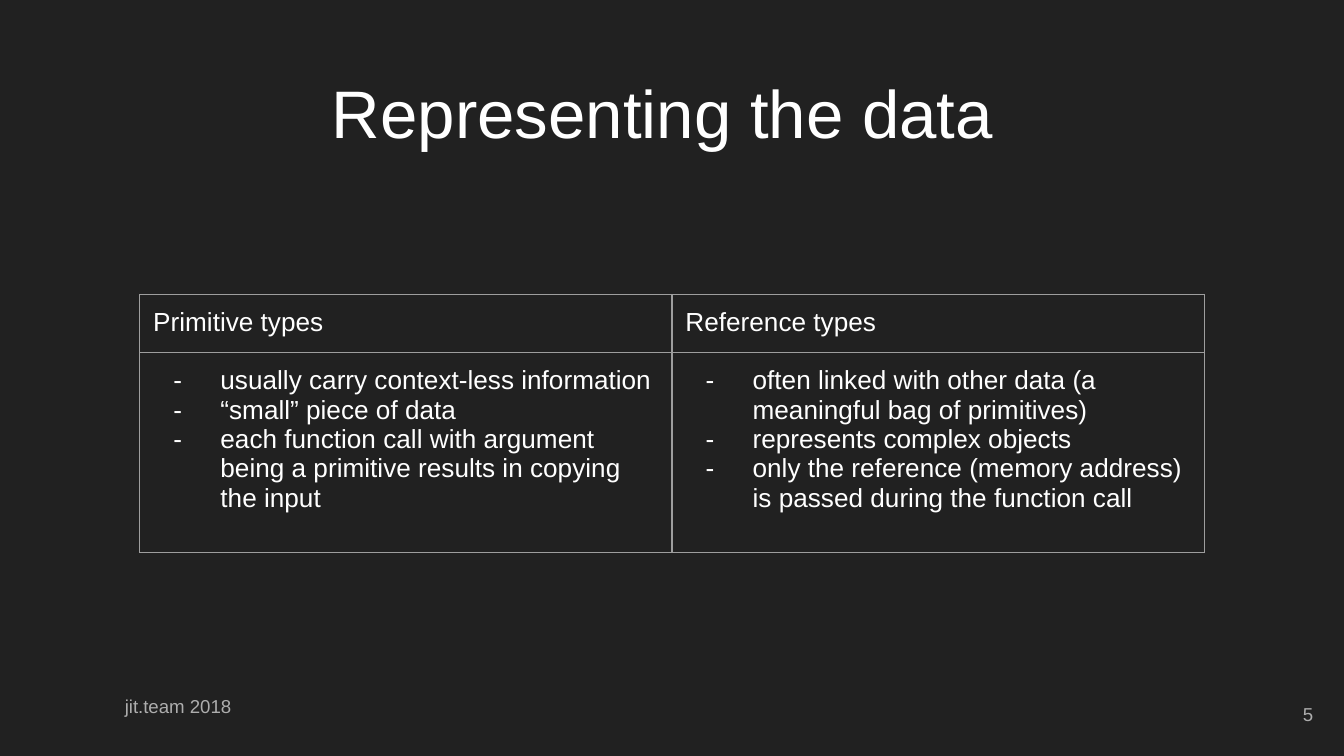
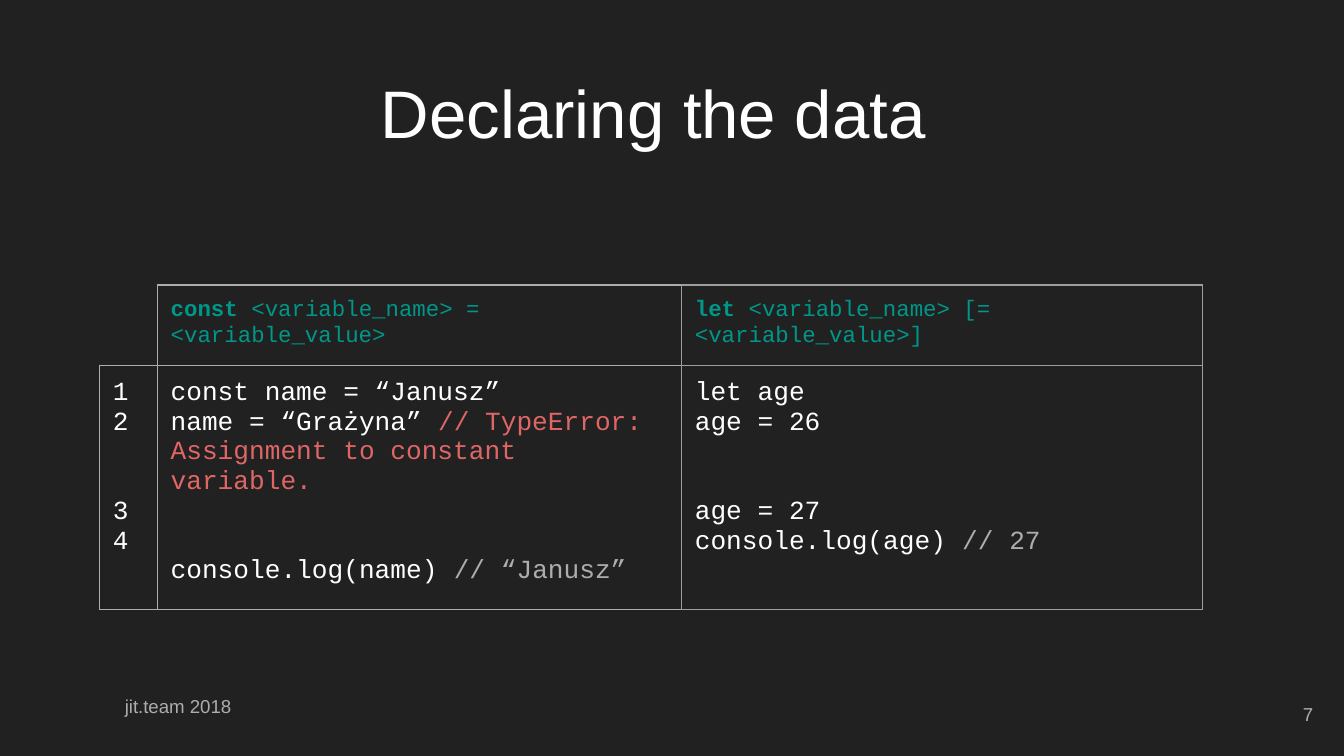
from lxml import etree
from pptx import Presentation
from pptx.dml.color import RGBColor
from pptx.enum.text import MSO_ANCHOR as Anchor, PP_ALIGN as Align
from pptx.oxml import parse_xml
from pptx.oxml.ns import nsdecls, qn
from pptx.util import Inches, Pt

COLORS = {
    "background": "212121", "white": "FFFFFF", "muted": "ADADAD",
    "line": "9E9E9E", "keyword": "009688", "error": "E06666",
}
WIDTH = 10
HEIGHT = WIDTH * 9 / 16
INSET = 0.1
CODE_GAP = 32  # two lines of 14 pt code, in points

TITLE = {"font": "Arial", "size": 36, "color": "white", "align": Align.CENTER}
FOOTER = {"font": "Arial", "size": 10, "color": "muted", "align": Align.LEFT}
NUMBER = {**FOOTER, "align": Align.RIGHT}
BODY = {"font": "Arial", "size": 14, "color": "white", "align": Align.LEFT}
BULLET = {**BODY, "bullet": "-"}
CODE = {**BODY, "font": "Courier New"}
SYNTAX = {**CODE, "size": 12, "color": "keyword"}


def write(frame, paragraphs, style):
    """Each paragraph is a list of (text, run changes), or a plain string.
    A leading number is the space before the paragraph in points."""
    for name in ("margin_left", "margin_right", "margin_top", "margin_bottom"):
        setattr(frame, name, Inches(INSET))
    frame.word_wrap = True
    for index, runs in enumerate(paragraphs):
        paragraph = frame.paragraphs[0] if index == 0 else frame.add_paragraph()
        paragraph.alignment = style["align"]
        runs = [runs] if isinstance(runs, str) else list(runs)
        if not isinstance(runs[0], (str, tuple)):
            paragraph.space_before = Pt(runs.pop(0))
        if "bullet" in style:
            properties = paragraph._p.get_or_add_pPr()
            properties.set("marL", str(Inches(0.5)))
            properties.set("indent", str(Inches(-0.35)))
            bullet_color = etree.SubElement(properties, qn("a:buClr"))
            etree.SubElement(bullet_color, qn("a:srgbClr"), val=COLORS[style["color"]])
            etree.SubElement(properties, qn("a:buSzPts"), val=str(style["size"] * 100))
            etree.SubElement(properties, qn("a:buFont"), typeface=style["font"])
            etree.SubElement(properties, qn("a:buChar"), char=style["bullet"])
        paragraph.font.size = Pt(style["size"])
        for item in runs:
            text, changes = (item, {}) if isinstance(item, str) else item
            look = {**style, **changes}
            run = paragraph.add_run()
            run.text = text
            values = {"name": look["font"], "size": Pt(look["size"]),
                      "bold": look.get("bold", False)}
            for name, value in values.items():
                setattr(run.font, name, value)
            run.font.color.rgb = RGBColor.from_string(COLORS[look["color"]])


def add_text(slide, box, text, style, anchor):
    shape = slide.shapes.add_textbox(*(Inches(length) for length in box))
    write(shape.text_frame, [text], style)
    shape.text_frame.vertical_anchor = anchor


# Content: each cell is (paragraphs, style); None is an open corner
bold = {"bold": True}
comment = {"color": "muted"}
slides = [
    {
        "title": "Representing the data", "number": "5", "lines": ("line", "line"),
        "corner": (1.04, 2.19), "columns": (3.96, 3.96), "rows": (0.38, 1.49),
        "cells": [
            [(["Primitive types"], BODY), (["Reference types"], BODY)],
            [([
                "usually carry context-less information",
                "“small” piece of data",
                "each function call with argument being a primitive "
                "results in copying the input",
            ], BULLET), ([
                "often linked with other data (a meaningful bag of primitives)",
                "represents complex objects",
                "only the reference (memory address) is passed "
                "during the function call",
            ], BULLET)],
        ],
    },
    {
        "title": "Declaring the data ", "number": "7",
        "lines": ("muted", "muted", "line"),
        "corner": (0.74, 2.12), "columns": (0.43, 3.9, 3.88), "rows": (0.38, 1.56),
        "cells": [
            [None,
             ([[("const ", bold), "<variable_name> = <variable_value>"]], SYNTAX),
             ([[("let ", bold), "<variable_name> [= <variable_value>]"]], SYNTAX)],
            [(["1", "2", [CODE_GAP, "3"], "4"], CODE),
             ([
                 "const name = “Janusz”",
                 ["name = “Grażyna” ",
                  ("// TypeError: Assignment to constant variable.",
                   {"color": "error"})],
                 [CODE_GAP, "console.log(name) ", ("// “Janusz”", comment)],
             ], CODE),
             ([
                 "let age",
                 "age = 26",
                 [CODE_GAP, "age = 27"],
                 ["console.log(age) ", ("// 27", comment)],
             ], CODE)],
        ],
    },
]

presentation = Presentation()
presentation.slide_width = Inches(WIDTH)
presentation.slide_height = Inches(HEIGHT)

for content in slides:
    slide = presentation.slides.add_slide(presentation.slide_layouts[6])
    slide.background.fill.solid()
    slide.background.fill.fore_color.rgb = RGBColor.from_string(COLORS["background"])

    # Footer and title
    add_text(slide, (0.83, 5.09, 4.91, 0.47), "jit.team 2018", FOOTER, Anchor.TOP)
    add_text(slide, (0.27, 0.37, 9.32, 0.92), content["title"], TITLE, Anchor.MIDDLE)

    # Table
    columns, rows = content["columns"], content["rows"]
    left, top = content["corner"]
    frame = slide.shapes.add_table(
        len(rows), len(columns), Inches(left), Inches(top),
        Inches(sum(columns)), Inches(sum(rows)))
    table = frame.table
    table.first_row = table.horz_banding = False
    for column, width in zip(table.columns, columns):
        column.width = Inches(width)
    for row, height in zip(table.rows, rows):
        row.height = Inches(height)

    for row_index, row_cells in enumerate(content["cells"]):
        for column_index, entry in enumerate(row_cells):
            cell = table.cell(row_index, column_index)
            if entry:
                write(cell.text_frame, *entry)
                for side in ("left", "right", "top", "bottom"):
                    setattr(cell, f"margin_{side}", Inches(INSET))
            properties = cell._tc.get_or_add_tcPr()
            color = COLORS[content["lines"][column_index]]
            for side in "LRTB":
                paint = f'<a:solidFill><a:srgbClr val="{color}"/></a:solidFill>'
                if entry is None and side in "LT":
                    paint = "<a:noFill/>"
                properties.append(parse_xml(
                    f'<a:ln{side} {nsdecls("a")} w="{Pt(0.75)}">{paint}</a:ln{side}>'))
            cell.fill.background()

    # Slide number
    add_text(slide, (9.27, 5.1, 0.6, 0.43), content["number"], NUMBER, Anchor.MIDDLE)

presentation.save("out.pptx")
